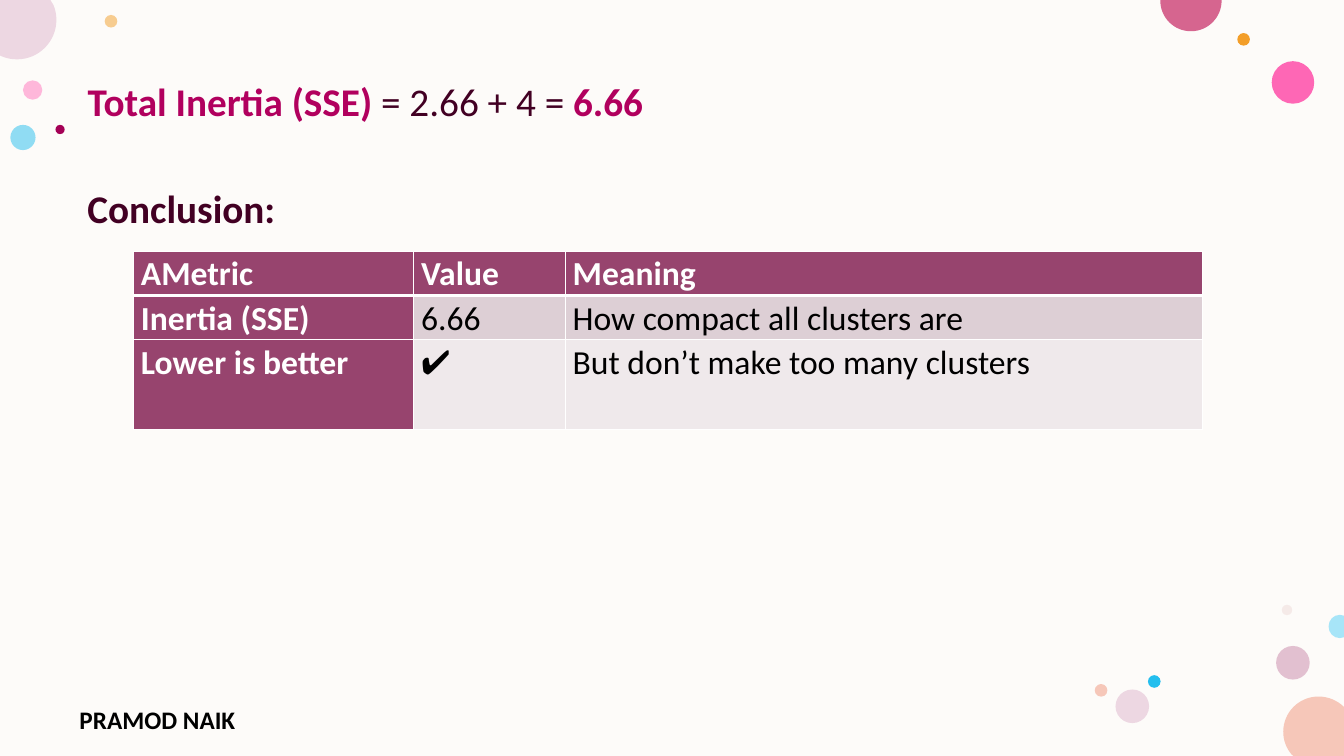
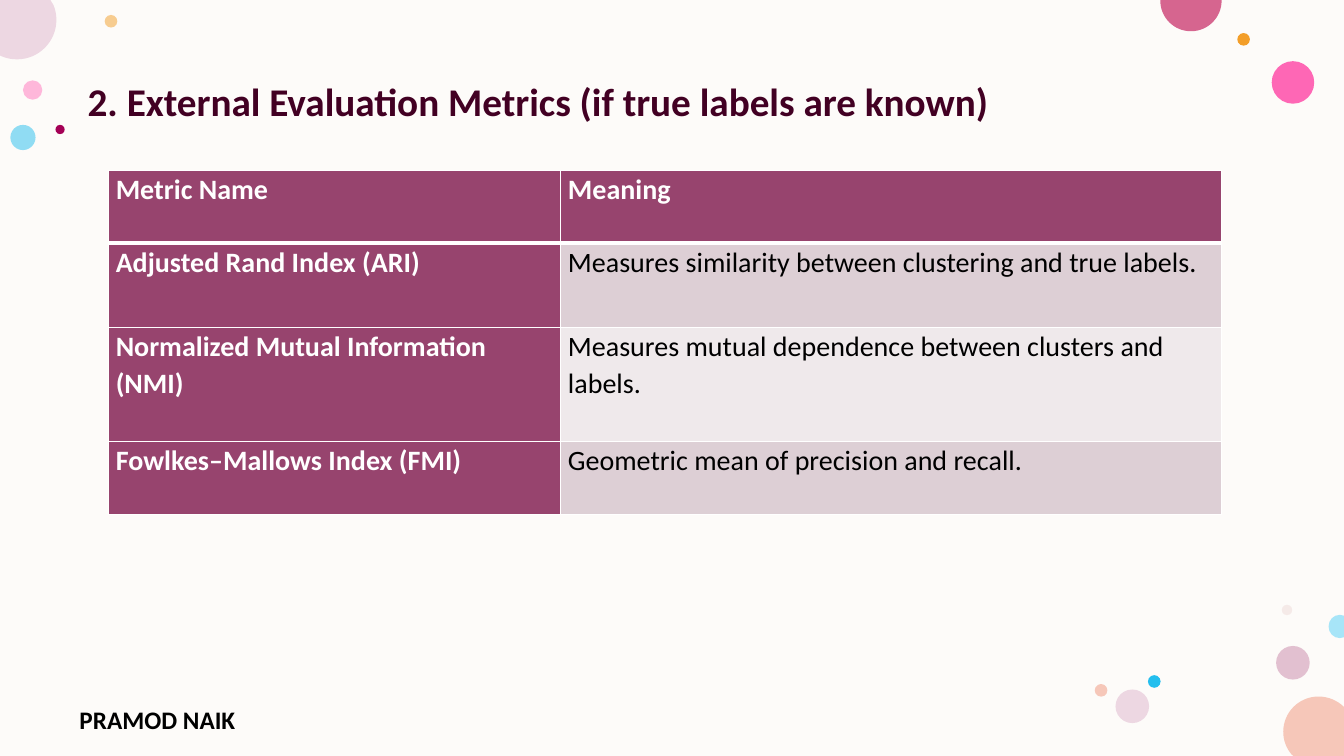
from dataclasses import dataclass

from lxml.etree import SubElement
from pptx import Presentation
from pptx.dml.color import RGBColor
from pptx.enum.shapes import MSO_SHAPE
from pptx.enum.text import MSO_ANCHOR, MSO_AUTO_SIZE, PP_ALIGN
from pptx.oxml import parse_xml
from pptx.oxml.ns import nsdecls, qn
from pptx.util import Pt


@dataclass(frozen=True)
class Theme:
    font: str = "Calibri"
    paper: str = "FDFBF9"
    heading: str = "420023"
    accent: str = "B1005E"
    body: str = "000000"
    light: str = "FFFFFF"
    header_fill: str = "97446E"
    row_fills: tuple = ("DDCFD5", "EFE9EB")
    heading_size: float = 28
    footer_size: float = 18


THEME = Theme()
WIDTH, HEIGHT = 960, 540
HEADING_LEFT, HEADING_WIDTH, HEADING_HEIGHT = 55.4, 858, 42
TITLE_TOP = 55.4

# Content: heading spans are (text, colour, bold)
FOOTER = "PRAMOD NAIK"
PAGES = [
    {
        "title": [
            ("Total Inertia (SSE) ", THEME.accent, True),
            ("= 2.66 + 4 = ", THEME.heading, False),
            ("6.66", THEME.accent, True),
        ],
        "subheading": ("Conclusion:", 131.8),
        "table": {
            "left": 95.3, "top": 179.4, "size": 24,
            "columns": [200.2, 108.2, 455.2], "heights": [31.7, 31.7, 64],
            "rows": [
                ("AMetric", "Value", "Meaning"),
                ("Inertia (SSE)", "6.66", "How compact all clusters are"),
                ("Lower is better", "✔", "But don’t make too many clusters"),
            ],
        },
    },
    {
        "title": [("2. External Evaluation Metrics (if true labels are known)",
                   THEME.heading, True)],
        "table": {
            "left": 77.3, "top": 121.8, "size": 20,
            "columns": [323, 472.3], "heights": [52, 60.3, 81.3, 52],
            "rows": [
                ("Metric Name", "Meaning"),
                ("Adjusted Rand Index (ARI)",
                 "Measures similarity between clustering and true labels."),
                ("Normalized Mutual Information (NMI)",
                 "Measures mutual dependence between clusters and labels."),
                ("Fowlkes–Mallows Index (FMI)",
                 "Geometric mean of precision and recall."),
            ],
        },
    },
]

# Whole bubbles: left, top, diameter, colour, opacity in percent
BUBBLES = [
    (16.4, 57.4, 13.8, "FF75BD", 50),
    (74.8, 10.7, 9, "F39E29", 50),
    (911.5, 461.4, 24, "C987A8", 50),
    (7.4, 89.2, 18, "24BEEE", 50),
    (908.4, 43.7, 30.4, "FF2F9C", 72),
    (883.8, 23.6, 9, "F39E29", 100),
    (915.6, 432, 7.4, "E3BEBE", 28),
    (820, 482.3, 9, "24BEEE", 100),
    (796.8, 492.5, 24, "EDD7E2", 100),
    (782, 488.6, 9, "F6C7B9", 100),
    (39.6, 89.2, 6.6, "A40056", 100),
]

# Bubbles cut by the slide edge: colour, then start point and segments;
# one point makes a line, three points make a curve
CUT_BUBBLES = [
    ("F6C7B9", [
        [(941.8, 497.5)],
        [(948.7, 497.5), (955, 500.2), (960, 504.9)],
        [(960, 540)], [(923.8, 540)], [(922.3, 538.6)],
        [(918.7, 534.2), (916.6, 528.7), (916.6, 522.7)],
        [(916.6, 508.8), (927.9, 497.5), (941.8, 497.5)],
    ]),
    ("EDD7E2", [
        [(0, 0)], [(36, 0)], [(38.2, 3.6)],
        [(39.6, 6.8), (40.3, 10.4), (40.3, 14.2)],
        [(40.3, 29.8), (27.7, 42.4), (12.2, 42.4)],
        [(8.3, 42.4), (4.6, 41.7), (1.4, 40.3)],
        [(0, 39.6)],
    ]),
    ("D6658F", [
        [(829, 0)], [(872.6, 0)], [(872.6, 0.4)],
        [(872.6, 12.5), (862.8, 22.3), (850.7, 22.3)],
        [(838.5, 22.3), (828.8, 12.5), (828.8, 0.4)],
    ]),
    ("A7E5F8", [
        [(957, 439.2)], [(960, 439.8)], [(960, 455.2)], [(957, 455.8)],
        [(952.6, 455.8), (949, 452.1), (949, 447.5)],
        [(949, 442.9), (952.6, 439.2), (957, 439.2)],
    ]),
]


def colour(value):
    return RGBColor.from_string(value)


def add_span(para, text, tint, size, bold=True):
    span = para.add_run()
    span.text = text
    formats = {"name": THEME.font, "size": Pt(size), "bold": bold}
    for name, value in formats.items():
        setattr(span.font, name, value)
    span.font.color.rgb = colour(tint)


def write_line(box, spans, size, spacing=1.0):
    frame = box.text_frame
    formats = {"word_wrap": True, "auto_size": MSO_AUTO_SIZE.NONE,
               "vertical_anchor": MSO_ANCHOR.TOP}
    for name, value in formats.items():
        setattr(frame, name, value)
    para = frame.paragraphs[0]
    para.alignment, para.line_spacing = PP_ALIGN.LEFT, spacing
    for text, tint, bold in spans:
        add_span(para, text, tint, size, bold)


def paint(shape, tint, opacity=100):
    shape.shadow.inherit = False
    shape.fill.solid()
    shape.fill.fore_color.rgb = colour(tint)
    shape.line.fill.background()
    if opacity < 100:
        value = shape.element.find(".//" + qn("a:srgbClr"))
        SubElement(value, qn("a:alpha")).set("val", str(opacity * 1000))
    return shape


def add_preset(page, kind, left, top, width, height):
    return page.shapes.add_shape(kind, Pt(left), Pt(top), Pt(width), Pt(height))


def add_cut_bubble(page, tint, segments):
    points = [(Pt(x), Pt(y)) for segment in segments for x, y in segment]
    outline = page.shapes.build_freeform(*points[0])
    outline.add_line_segments(points[1:], close=True)
    bubble = outline.convert_to_shape()
    # Join each three line ends that belong to one curve
    lines = iter(bubble.element.findall(".//" + qn("a:lnTo")))
    for segment in segments[1:]:
        ends = [next(lines) for _ in segment]
        if len(ends) == 3:
            curve = parse_xml(f'<a:cubicBezTo {nsdecls("a")}/>')
            ends[0].addprevious(curve)
            for end in ends:
                curve.append(end[0])
                end.getparent().remove(end)
    return paint(bubble, tint)


def decorate(layout, page):
    """Draw the shared parts on a page, then hand them to its layout."""
    for holder in list(layout.placeholders)[1:]:
        holder.element.getparent().remove(holder.element)
    backdrop = add_preset(page, MSO_SHAPE.RECTANGLE, 0, 0, WIDTH, HEIGHT)
    parts = [paint(backdrop, THEME.paper)]
    for left, top, diameter, tint, opacity in BUBBLES:
        bubble = add_preset(page, MSO_SHAPE.OVAL, left, top, diameter, diameter)
        parts.append(paint(bubble, tint, opacity))
    parts += [add_cut_bubble(page, *bubble) for bubble in CUT_BUBBLES]
    footer = page.shapes.add_textbox(Pt(49.7), Pt(499.7), Pt(176), Pt(29))
    write_line(footer, [(FOOTER, THEME.body, True)], THEME.footer_size)
    for part in parts + [footer]:
        layout.shapes.element.append(part.element)


def set_borders(cell, top, bottom):
    properties = cell._tc.get_or_add_tcPr()
    sides = {"lnL": 1, "lnR": 1, "lnT": top, "lnB": bottom}
    for place, (side, width) in enumerate(sides.items()):
        properties.insert(place, parse_xml(
            f'<a:{side} {nsdecls("a")} w="{Pt(width)}"><a:solidFill>'
            f'<a:srgbClr val="{THEME.light}"/></a:solidFill></a:{side}>'))


def add_metric_table(page, left, top, size, columns, heights, rows):
    table = page.shapes.add_table(
        len(rows), len(columns), Pt(left), Pt(top),
        Pt(sum(columns)), Pt(sum(heights))).table
    table.first_col = True
    for column, width in zip(table.columns, columns):
        column.width = Pt(width)
    for row, height in zip(table.rows, heights):
        row.height = Pt(height)
    margins = {"margin_left": Pt(5.4), "margin_right": Pt(5.4),
               "margin_top": 0, "margin_bottom": 0}
    for r, texts in enumerate(rows):
        for c, text in enumerate(texts):
            cell = table.cell(r, c)
            for name, value in margins.items():
                setattr(cell, name, value)
            heading = r == 0 or c == 0
            fill = THEME.header_fill if heading else THEME.row_fills[(r - 1) % 2]
            cell.fill.solid()
            cell.fill.fore_color.rgb = colour(fill)
            set_borders(cell, 3 if r == 1 else 1, 3 if r == 0 else 1)
            para = cell.text_frame.paragraphs[0]
            para.line_spacing, para.space_after = 1.07, Pt(8)
            add_span(para, text, THEME.light if heading else THEME.body,
                     size, heading)


def place_heading(box, top, spans):
    frame = {"left": HEADING_LEFT, "top": top,
             "width": HEADING_WIDTH, "height": HEADING_HEIGHT}
    for name, value in frame.items():
        setattr(box, name, Pt(value))
    write_line(box, spans, THEME.heading_size, 0.9)


def main():
    deck = Presentation()
    deck.slide_width, deck.slide_height = Pt(WIDTH), Pt(HEIGHT)
    layout = deck.slide_layouts[5]
    for number, content in enumerate(PAGES):
        page = deck.slides.add_slide(layout)
        if number == 0:
            decorate(layout, page)
        place_heading(page.shapes.title, TITLE_TOP, content["title"])
        if "subheading" in content:
            text, top = content["subheading"]
            box = page.shapes.add_textbox(0, 0, 0, 0)
            place_heading(box, top, [(text, THEME.heading, True)])
        add_metric_table(page, **content["table"])
    deck.save("out.pptx")


if __name__ == "__main__":
    main()
